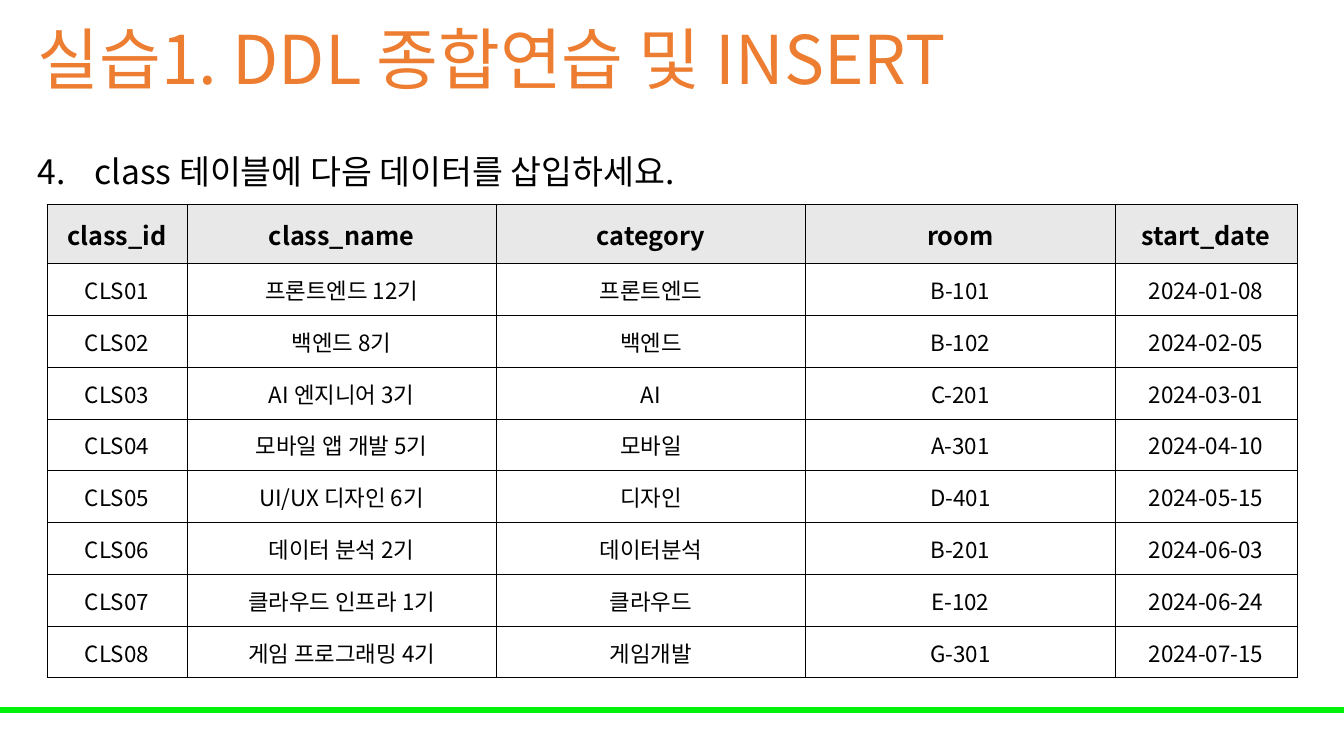
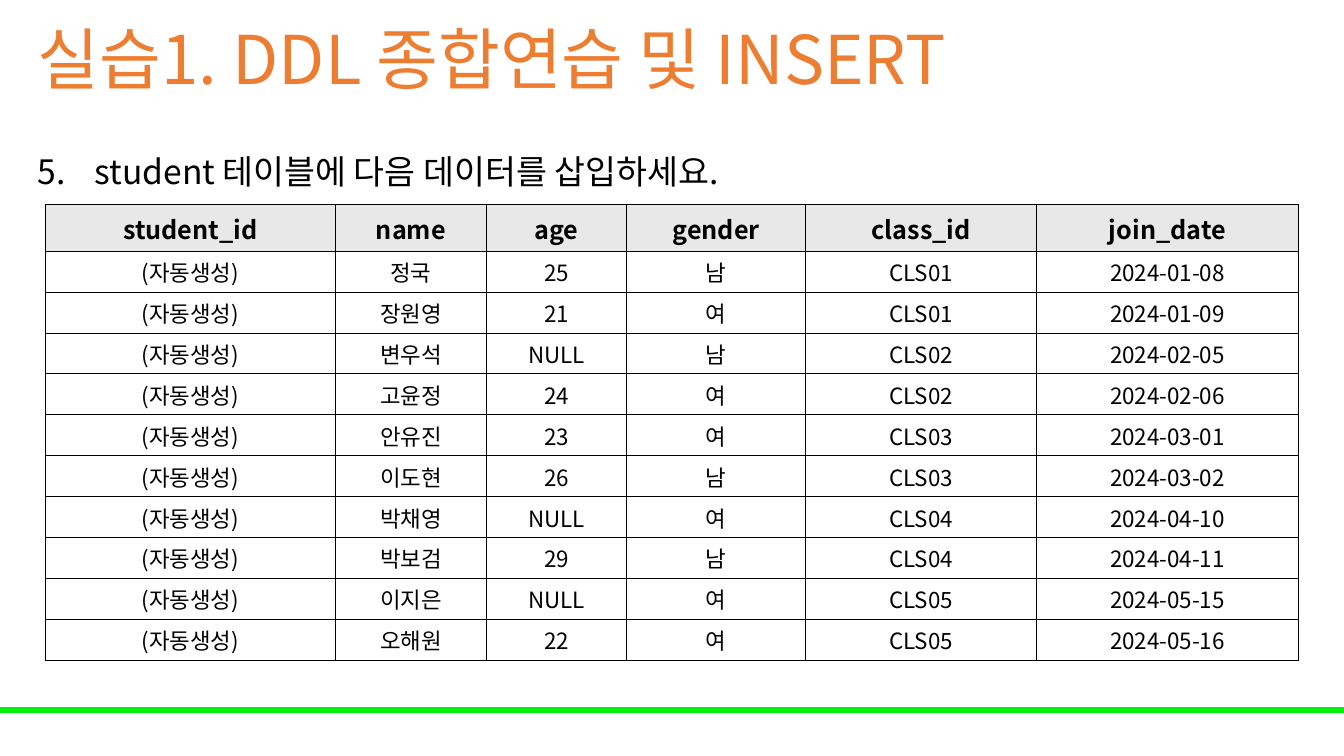
from dataclasses import dataclass

from lxml import etree
from pptx import Presentation
from pptx import util as u
from pptx.dml import color as dml
from pptx.enum import shapes, text
from pptx.oxml import ns

# Shared look
FONT = "Noto Sans CJK KR"
ORANGE, BLACK, GREEN, GRAY = "ED7D31", "000000", "00F209", "E8E8E8"
SLIDE_W, SLIDE_H = 960, 540
MARGIN_LEFT = 20
TABLE_TOP = 146
TITLE = "실습1. DDL 종합연습 및 INSERT"
CELL_INSETS = (0.7, 0.7, 0.7, 0)
BOX_INSETS = (7.2, 3.6, 7.2, 3.6)


@dataclass(frozen=True)
class Exercise:
    number: int
    question: str
    column_widths: tuple[float, ...]
    header_height: float
    row_height: float
    header: tuple[str, ...]
    records: tuple[tuple[str, ...], ...]


# Content
CLASSES = Exercise(
    4, "class 테이블에 다음 데이터를 삽입하세요.",
    (100, 221, 221, 221, 130), 42.2, 37,
    ("class_id", "class_name", "category", "room", "start_date"),
    (
        ("CLS01", "프론트엔드 12기", "프론트엔드", "B-101", "2024-01-08"),
        ("CLS02", "백엔드 8기", "백엔드", "B-102", "2024-02-05"),
        ("CLS03", "AI 엔지니어 3기", "AI", "C-201", "2024-03-01"),
        ("CLS04", "모바일 앱 개발 5기", "모바일", "A-301", "2024-04-10"),
        ("CLS05", "UI/UX 디자인 6기", "디자인", "D-401", "2024-05-15"),
        ("CLS06", "데이터 분석 2기", "데이터분석", "B-201", "2024-06-03"),
        ("CLS07", "클라우드 인프라 1기", "클라우드", "E-102", "2024-06-24"),
        ("CLS08", "게임 프로그래밍 4기", "게임개발", "G-301", "2024-07-15"),
    ),
)
AUTO_ID = "(자동생성)"
STUDENTS = Exercise(
    5, "student 테이블에 다음 데이터를 삽입하세요.",
    (207, 108, 100, 128, 165, 187), 33.4, 29.2,
    ("student_id", "name", "age", "gender", "class_id", "join_date"),
    (
        (AUTO_ID, "정국", "25", "남", "CLS01", "2024-01-08"),
        (AUTO_ID, "장원영", "21", "여", "CLS01", "2024-01-09"),
        (AUTO_ID, "변우석", "NULL", "남", "CLS02", "2024-02-05"),
        (AUTO_ID, "고윤정", "24", "여", "CLS02", "2024-02-06"),
        (AUTO_ID, "안유진", "23", "여", "CLS03", "2024-03-01"),
        (AUTO_ID, "이도현", "26", "남", "CLS03", "2024-03-02"),
        (AUTO_ID, "박채영", "NULL", "여", "CLS04", "2024-04-10"),
        (AUTO_ID, "박보검", "29", "남", "CLS04", "2024-04-11"),
        (AUTO_ID, "이지은", "NULL", "여", "CLS05", "2024-05-15"),
        (AUTO_ID, "오해원", "22", "여", "CLS05", "2024-05-16"),
    ),
)


# Formatting helpers
def rgb(value: str) -> dml.RGBColor:
    return dml.RGBColor.from_string(value)


def number_paragraph(paragraph, start: int, indent: float) -> None:
    properties = paragraph._p.get_or_add_pPr()
    properties.set("marL", str(u.Pt(indent)))
    properties.set("indent", str(-u.Pt(indent)))
    etree.SubElement(properties, ns.qn("a:buFont"), typeface="+mj-lt")
    etree.SubElement(properties, ns.qn("a:buAutoNum"),
                     type="arabicPeriod", startAt=str(start))


def write(frame, words: str, *, size: float, color: str = BLACK,
          bold: bool = False, align=text.PP_ALIGN.LEFT,
          line_spacing: float = 1.0, number: int | None = None) -> None:
    paragraph = frame.paragraphs[0]
    paragraph.alignment = align
    paragraph.line_spacing = line_spacing
    if number is not None:
        number_paragraph(paragraph, number, 40.5)
    run = paragraph.add_run()
    run.text = words
    run.font.name = FONT
    run.font.size = u.Pt(size)
    run.font.bold = bold
    run.font.color.rgb = rgb(color)
    etree.SubElement(run._r.get_or_add_rPr(), ns.qn("a:ea"), typeface=FONT)


def set_insets(holder, insets: tuple[float, ...]) -> None:
    (holder.margin_left, holder.margin_top,
     holder.margin_right, holder.margin_bottom) = map(u.Pt, insets)


def add_box(slide, left: float, top: float, width: float, height: float,
            words: str, anchor=text.MSO_ANCHOR.TOP, **style) -> None:
    box = slide.shapes.add_textbox(*map(u.Pt, (left, top, width, height)))
    frame = box.text_frame
    frame.word_wrap = True
    frame.vertical_anchor = anchor
    set_insets(frame, BOX_INSETS)
    write(frame, words, **style)


def outline_cell(cell, color: str, weight: float) -> None:
    properties = cell._tc.get_or_add_tcPr()
    for position, side in enumerate(("lnL", "lnR", "lnT", "lnB")):
        border = etree.Element(ns.qn(f"a:{side}"), w=str(u.Pt(weight)))
        fill = etree.SubElement(border, ns.qn("a:solidFill"))
        etree.SubElement(fill, ns.qn("a:srgbClr"), val=color)
        properties.insert(position, border)


# Slide parts
def add_band(slide) -> None:
    band = slide.shapes.add_shape(shapes.MSO_SHAPE.RECTANGLE, u.Pt(0),
                                  u.Pt(505.4), u.Pt(SLIDE_W), u.Pt(3.6))
    band.shadow.inherit = False
    band.fill.solid()
    band.fill.fore_color.rgb = rgb(GREEN)
    band.line.color.rgb = rgb(GREEN)
    band.line.width = u.Pt(1)


def add_records(slide, exercise: Exercise) -> None:
    lines = (exercise.header, *exercise.records)
    width = sum(exercise.column_widths)
    height = exercise.header_height + exercise.row_height * len(exercise.records)
    table = slide.shapes.add_table(
        len(lines), len(exercise.header), u.Pt((SLIDE_W - width) / 2),
        u.Pt(TABLE_TOP), u.Pt(width), u.Pt(height)).table
    table.first_row = table.horz_banding = False
    for column, column_width in zip(table.columns, exercise.column_widths):
        column.width = u.Pt(column_width)
    for index, (row, values) in enumerate(zip(table.rows, lines)):
        is_header = index == 0
        row.height = u.Pt(exercise.header_height if is_header
                          else exercise.row_height)
        for cell, value in zip(row.cells, values):
            set_insets(cell, CELL_INSETS)
            cell.vertical_anchor = text.MSO_ANCHOR.MIDDLE
            if is_header:
                cell.fill.solid()
                cell.fill.fore_color.rgb = rgb(GRAY)
            else:
                cell.fill.background()
            outline_cell(cell, BLACK, 0.5)
            write(cell.text_frame, value, size=18 if is_header else 16,
                  bold=is_header, align=text.PP_ALIGN.CENTER)


def add_exercise(deck, exercise: Exercise) -> None:
    slide = deck.slides.add_slide(deck.slide_layouts[6])
    add_band(slide)
    add_box(slide, MARGIN_LEFT, 0, 828, 90, TITLE, text.MSO_ANCHOR.MIDDLE,
            size=48, color=ORANGE, line_spacing=0.9)
    add_box(slide, MARGIN_LEFT, 90, 540, 46, exercise.question,
            size=24, line_spacing=1.5, number=exercise.number)
    add_records(slide, exercise)


def main() -> None:
    deck = Presentation()
    deck.slide_width, deck.slide_height = u.Pt(SLIDE_W), u.Pt(SLIDE_H)
    for exercise in (CLASSES, STUDENTS):
        add_exercise(deck, exercise)
    deck.save("out.pptx")


if __name__ == "__main__":
    main()
